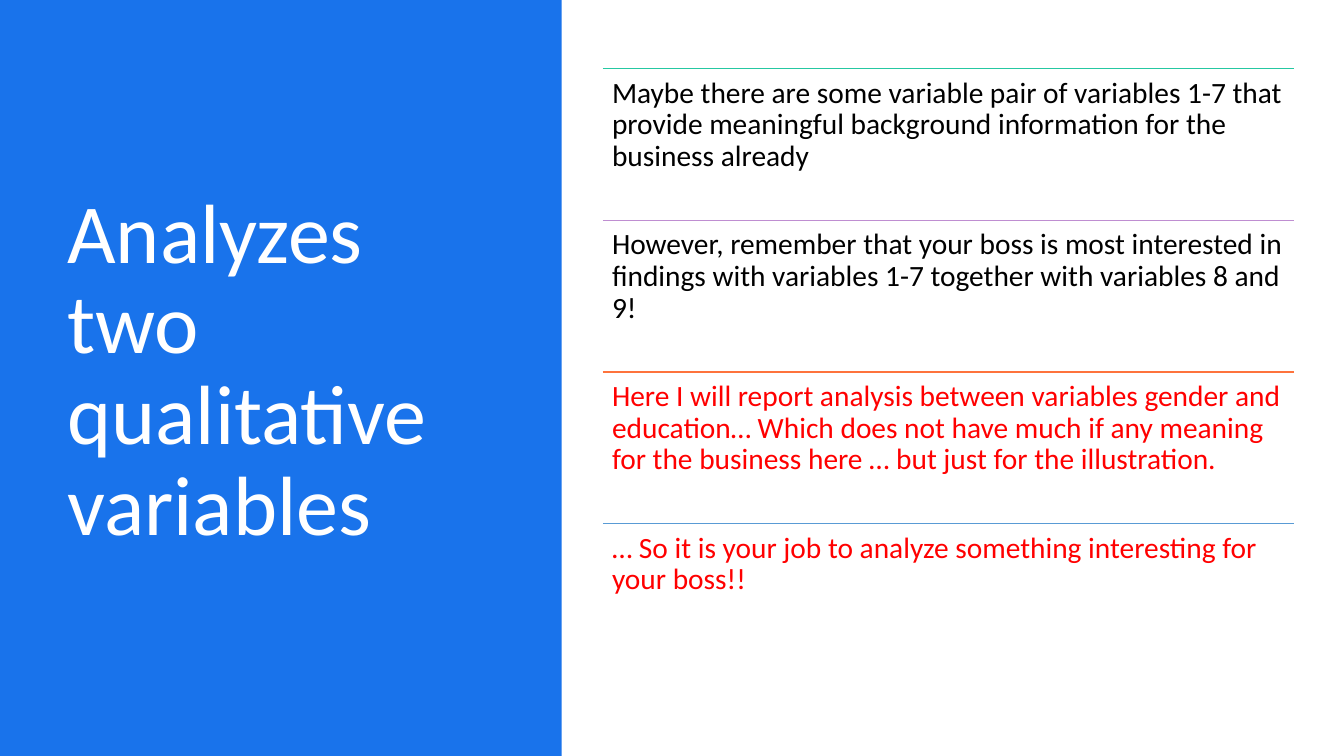
import pptx
import pptx.util
import pptx.dml.color
import pptx.enum.shapes
import pptx.enum.text
import pptx.oxml.ns
import lxml.etree

Inches = pptx.util.Inches

COLORS = {
    "panel": "1973EB", "white": "FFFFFF", "black": "000000", "red": "FF0000",
    "teal": "25C8A2", "purple": "BF8ED1", "orange": "FE733C", "blue": "599BD5",
}
FONT = "Calibri"
TITLE = "Analyzes two qualitative variables"

# Text, text colour, rule colour
POINTS = [
    ("Maybe there are some variable pair of variables 1-7 that provide meaningful "
     "background information for the business already", "black", "teal"),
    ("However, remember that your boss is most interested in findings with "
     "variables 1-7 together with variables 8 and 9!", "black", "purple"),
    ("Here I will report analysis between variables gender and education… Which does "
     "not have much if any meaning for the business here … but just for the "
     "illustration.", "red", "orange"),
    ("… So it is your job to analyze something interesting for your boss!!",
     "red", "blue"),
]
LIST_LEFT, LIST_TOP, LIST_WIDTH, LIST_HEIGHT = 5.98, 0.68, 6.85, 6.02


def color(name):
    return pptx.dml.color.RGBColor.from_string(COLORS[name])


def add_text(page, text, place, size, color_name, insets, anchor):
    box = page.shapes.add_textbox(*(Inches(value) for value in place))
    frame = box.text_frame
    frame.word_wrap = True
    frame.vertical_anchor = anchor
    frame.margin_left = frame.margin_right = Inches(insets[0])
    frame.margin_top = frame.margin_bottom = Inches(insets[1])
    para = frame.paragraphs[0]
    para.text = text
    para.line_spacing = 0.9
    para.font.name = FONT
    para.font.size = pptx.util.Pt(size)
    para.font.color.rgb = color(color_name)


def add_rule(page, left, top, width, color_name):
    rule = page.shapes.add_connector(
        pptx.enum.shapes.MSO_CONNECTOR.STRAIGHT,
        Inches(left), Inches(top), Inches(left + width), Inches(top))
    rule.line.color.rgb = color(color_name)
    rule.line.width = pptx.util.Pt(1)
    lxml.etree.SubElement(rule._element.spPr, pptx.oxml.ns.qn("a:effectLst"))


def main():
    deck = pptx.Presentation()
    deck.slide_width, deck.slide_height = Inches(13.33), Inches(7.5)
    page = deck.slides.add_slide(deck.slide_layouts[6])
    anchors = pptx.enum.text.MSO_ANCHOR

    # Left panel with the title
    panel = page.shapes.add_shape(
        pptx.enum.shapes.MSO_SHAPE.RECTANGLE, 0, 0, Inches(5.57), deck.slide_height)
    panel.shadow.inherit = False
    panel.fill.solid()
    panel.fill.fore_color.rgb = color("panel")
    panel.line.fill.background()
    add_text(page, TITLE, (0.57, 0.68, 4.16, 6.02), 60, "white",
             (0.1, 0.05), anchors.MIDDLE)

    # Ruled list of points in equal rows
    row_height = LIST_HEIGHT / len(POINTS)
    for index, (text, text_color, rule_color) in enumerate(POINTS):
        top = LIST_TOP + index * row_height
        add_rule(page, LIST_LEFT, top, LIST_WIDTH, rule_color)
        add_text(page, text, (LIST_LEFT, top, LIST_WIDTH, row_height), 21, text_color,
                 (0.09, 0.09), anchors.TOP)

    deck.save("out.pptx")


if __name__ == "__main__":
    main()
